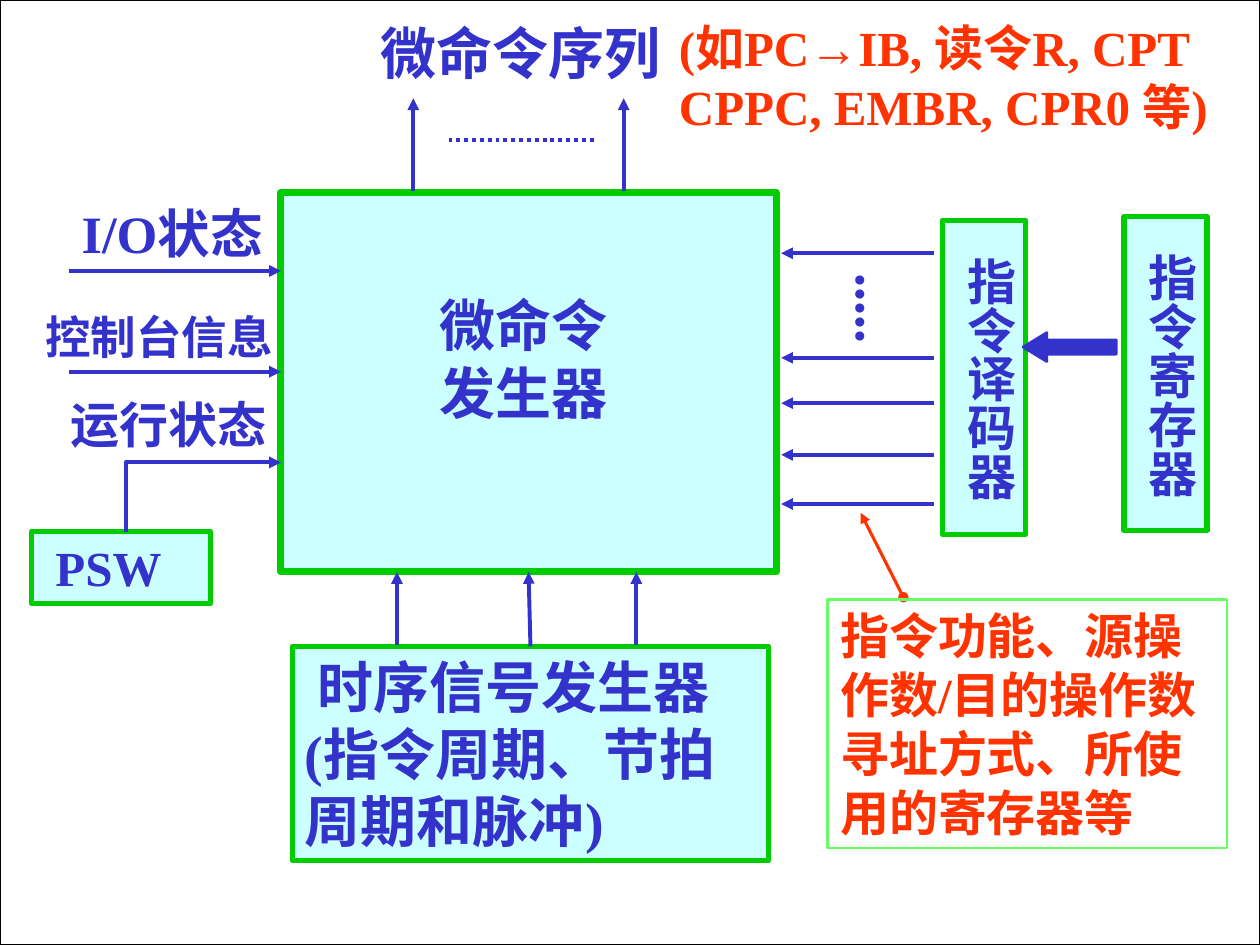
import pptx
import pptx.util
import pptx.dml.color
import pptx.enum.dml
import pptx.enum.shapes
import pptx.enum.text
import pptx.oxml.ns
from lxml import etree

RGB = pptx.dml.color.RGBColor
WHITE = RGB(0xFF, 0xFF, 0xFF)
BLACK = RGB(0x00, 0x00, 0x00)
BLUE = RGB(0x33, 0x33, 0xCC)
RED = RGB(0xFF, 0x33, 0x00)
GREEN = RGB(0x00, 0xCC, 0x00)
LIME = RGB(0x66, 0xFF, 0x66)
AQUA = RGB(0xCC, 0xFF, 0xFF)

FORM = pptx.enum.shapes.MSO_SHAPE
TOP, BASE = 0, 2  # joining points of a rectangle


class Chart:
    """Style and slide; lengths are cells of a grid of 100 columns by 75 rows."""
    cell = pptx.util.Inches(0.1)
    latin = "Times New Roman"
    asian = "Noto Sans CJK SC"

    def __init__(self, deck):
        deck.slide_width, deck.slide_height = self.grid(100, 75)
        self.slide = deck.slides.add_slide(deck.slide_layouts[6])
        self.shapes = self.slide.shapes

    def grid(self, *spans):
        return [round(span * self.cell) for span in spans]

    def words(self, shape, text, size, color=BLUE, indent=0, first=0, tall=False):
        """Fill a shape with left-aligned bold text, one paragraph a line."""
        frame = shape.text_frame
        frame.word_wrap = True
        frame.vertical_anchor = pptx.enum.text.MSO_ANCHOR.TOP
        if tall:
            frame.margin_left, frame.margin_right = self.grid(0.5, 0.5)
            frame.margin_top, frame.margin_bottom = self.grid(1 + indent, 0)
            frame._txBody.bodyPr.set("vert", "eaVert")
        else:
            frame.margin_left = self.grid(1 + indent)[0]
        frame.text = text
        for part in frame.paragraphs:
            part.alignment = pptx.enum.text.PP_ALIGN.LEFT
            font = part.font
            font.size, font.bold = pptx.util.Pt(size), True
            font.color.rgb, font.name = color, self.latin
            east = etree.SubElement(font._rPr, pptx.oxml.ns.qn("a:ea"))
            east.set("typeface", self.asian)
        if first:
            props = frame.paragraphs[0]._p.get_or_add_pPr()
            props.set("indent", str(self.grid(first)[0]))

    def label(self, at, text, size, **style):
        self.words(self.shapes.add_textbox(*self.grid(*at)), text, size, **style)

    def box(self, at, fill=AQUA, edge=GREEN, width=3, form=FORM.RECTANGLE):
        shape = self.shapes.add_shape(form, *self.grid(*at))
        shape.shadow.inherit = False
        if fill is None:
            shape.fill.background()
        else:
            shape.fill.solid()
            shape.fill.fore_color.rgb = fill
        self.stroke(shape, edge, width)
        return shape

    def stroke(self, shape, color, width, head=None, tail=None):
        shape.line.color.rgb = color
        shape.line.width = pptx.util.Pt(width)
        for end, kind in (("headEnd", head), ("tailEnd", tail)):
            if kind:
                mark = etree.SubElement(shape.line._get_or_add_ln(),
                                        pptx.oxml.ns.qn("a:" + end))
                mark.set("type", kind)

    def line(self, start, stop, color=BLUE, width=2.25, head=None, tail="triangle"):
        link = self.shapes.add_connector(
            pptx.enum.shapes.MSO_CONNECTOR.STRAIGHT, *self.grid(*start, *stop))
        self.stroke(link, color, width, head, tail)
        etree.SubElement(link._element.spPr, pptx.oxml.ns.qn("a:effectLst"))
        return link

    def bend(self, start, *points):
        pen = self.shapes.build_freeform(*self.grid(*start))
        pen.add_line_segments([self.grid(*point) for point in points], close=False)
        shape = pen.convert_to_shape()
        shape.shadow.inherit = False
        shape.fill.background()
        self.stroke(shape, BLUE, 2.25, tail="triangle")


def main():
    deck = pptx.Presentation()
    chart = Chart(deck)

    # Page frame
    chart.box((0, 0, 100, 75), WHITE, BLACK, 0.75)

    # Command generator
    core = chart.box((22.3, 15.3, 39.3, 30.1), width=4)
    chart.label((31.7, 22.6, 21.5, 11.7), "微命令\n发生器", 32, indent=2.2)

    # Output sequence
    dots = chart.line((35.6, 11.1), (47.3, 11.1), tail=None)
    dots.line.dash_style = pptx.enum.dml.MSO_LINE.ROUND_DOT
    for x in (32.8, 49.5):
        chart.line((x, 15.2), (x, 7.8))
    chart.label((29.2, 1, 24.6, 6.4), "微命令序列", 32)
    chart.label((52.9, 0.9, 47.1, 10.4),
                "(如PC→IB, 读令R, CPT CPPC, EMBR, CPR0 等)", 28, color=RED)

    # State inputs on the left
    for at, text, size in (((5.5, 15.5, 17.8, 6), "I/O状态", 30),
                           ((2.6, 24, 22.1, 5.4), "控制台信息", 26),
                           ((4.6, 30.8, 19.2, 5.7), "运行状态", 28)):
        chart.label(at, text, size)
    for y in (21.5, 29.5):
        chart.line((5.5, y), (22.3, y))
    chart.words(chart.box((2.5, 42.2, 14.2, 5.7)), "PSW", 28, indent=0.9)
    chart.bend((10, 42.2), (10, 36.7), (22.3, 36.7))

    # Timing signals below
    clock = chart.box((23.2, 51.3, 37.8, 17))
    chart.words(clock, "时序信号发生器\n(指令周期、节拍周期和脉冲)", 32, first=1)
    for x in (31.5, 50.5):
        chart.line((x, 51.2), (x, 45.4))
    pulse = chart.line((42, 51.3), (42, 45.4))
    pulse.begin_connect(clock, TOP)
    pulse.end_connect(core, BASE)

    # Decoder and register on the right
    for x, y, text in ((74.8, 17.5, "指令译码器"), (89.2, 17.2, "指令寄存器")):
        chart.words(chart.box((x, y, 6.6, 24.9)), text, 28, indent=1.9, tall=True)
    for y in (20.1, 28.4, 32, 36.1, 40):
        chart.line((74.1, y), (62, y))
    chart.label((65.6, 20.7, 7.3, 7.6), ".....", 32, tall=True)
    arrow = chart.box((81.2, 26.4, 7.4, 2.3), BLUE, BLUE, 1.5, FORM.LEFT_ARROW)
    arrow.adjustments[1] = 0.82

    # Note on the decoder signals
    chart.line((71.7, 47.4), (68.3, 40.7), RED, 1.75, head="oval")
    note = chart.box((65.7, 47.6, 31.7, 19.7), None, LIME, 1.5)
    chart.words(note, "指令功能、源操作数/目的操作数寻址方式、所使用的寄存器等",
                28, color=RED)

    deck.save("out.pptx")


if __name__ == "__main__":
    main()
